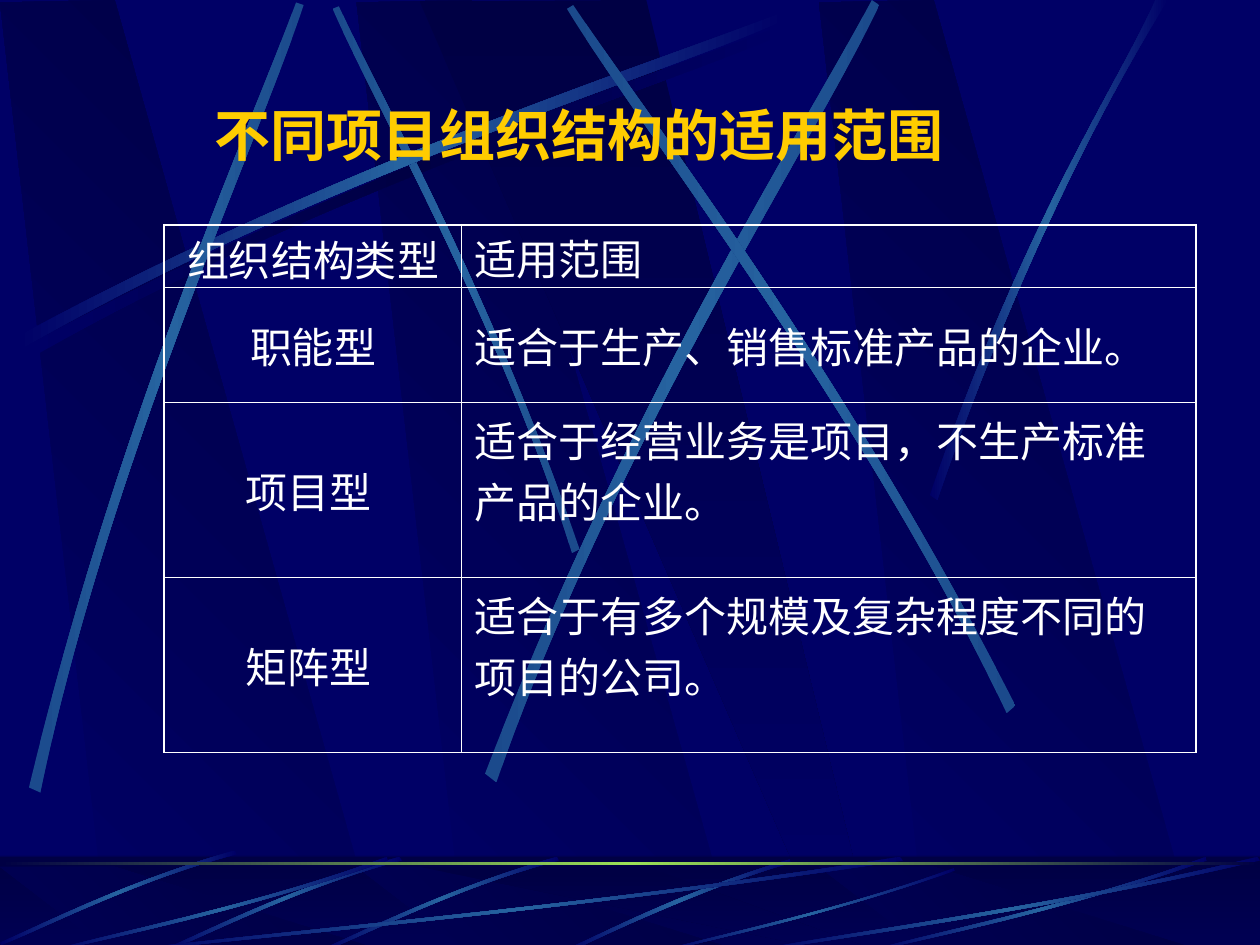
import pptx
import pptx.dml.color
import pptx.enum.shapes
import pptx.enum.text
import pptx.oxml.ns
import pptx.util
from lxml import etree

Cm, Pt = pptx.util.Cm, pptx.util.Pt
ALIGN, ANCHOR = pptx.enum.text.PP_ALIGN, pptx.enum.text.MSO_ANCHOR
RECT = pptx.enum.shapes.MSO_SHAPE.RECTANGLE
qn = pptx.oxml.ns.qn

# Content
TITLE = "不同项目组织结构的适用范围"
ROWS = [
    ("组织结构类型", "适用范围"),
    ("职能型", "适合于生产、销售标准产品的企业。"),
    ("项目型 ", "适合于经营业务是项目，不生产标准产品的企业。"),
    ("矩阵型 ", "适合于有多个规模及复杂程度不同的项目的公司。"),
]
TOP_ANCHORED = {(0, 1), (2, 1), (3, 1)}
COL_WIDTHS = [6.0, 14.8]
ROW_HEIGHTS = [1.27, 2.31, 3.53, 3.53]

# Colours
NAVY, DARK, BLUE, SOFT = "000066", "000044", "2663A0", "1B4A8C"
GREEN, GOLD, WHITE = "9CE157", "FFCC00", "FFFFFF"
FADED, SHADE, STEADY = (NAVY, BLUE, NAVY), (NAVY, DARK, NAVY), (SOFT, BLUE, SOFT)

# Backdrop outlines, on a grid of 2.54 cm
BAND_OFFSETS = [2.83, 0, 6.5]
UPPER_BAND = [(0.86, 7.5), (3.02, 7.52), (0.91, 0), (0, 0.02)]
UPPER_WEDGE = [(3.33, 0.01), (6.58, 7.51), (6.94, 7.51), (5.13, 0)]
LOWER_BAND = [(0.86, 7.54), (3.02, 7.54), (0.91, 6.88), (0, 6.88)]
LOWER_WEDGE = [(3.33, 6.88), (6.58, 7.54), (6.94, 7.54), (5.13, 6.88)]

# A streak is two Bezier edges of four points each
LONG = [(0.14, 2.67), (2.78, 1.25), (5.18, 0.51), (6.2, 0.1),
        (6.23, 0.16), (5.22, 0.61), (2.48, 1.43), (0.17, 2.77)]
SHORT = [(1.86, 6.8), (0.99, 7.05), (0.31, 7.4), (0, 7.53),
         (0.01, 7.55), (0.32, 7.43), (1.09, 7.03), (1.88, 6.83)]
LOW = [(2.66, 6.83), (1.51, 7.23), (0.46, 7.44), (0.01, 7.55),
       (0, 7.54), (0.44, 7.41), (1.64, 7.18), (2.65, 6.8)]
# (points, shift right, shift down, gradient)
UPPER_STREAKS = [
    (LONG, 0.06, 0.08, SHADE),
    ([(4.6, 4.36), (3.91, 2.34), (3.02, 0.77), (2.69, 0.05),
      (2.64, 0.07), (2.95, 0.79), (3.98, 2.58), (4.54, 4.39)], 0, 0, STEADY),
    (LONG, 0, 0, FADED),
    ([(0.23, 6.25), (0.93, 3.34), (1.97, 1.05), (2.35, 0.02),
      (2.41, 0.04), (2.07, 1.08), (0.86, 3.68), (0.32, 6.29)], 0, 0, STEADY),
    ([(3.85, 6.14), (4.98, 3.2), (6.38, 1.02), (6.92, 0),
      (6.98, 0.04), (6.49, 1.08), (4.86, 3.55), (3.94, 6.21)], 0, 0, STEADY),
    ([(8.06, 5.6), (6.7, 2.93), (5.16, 0.95), (4.55, 0.04),
      (4.5, 0.07), (5.07, 1.01), (6.85, 3.25), (7.99, 5.66)], 0, 0, STEADY),
    ([(7.38, 3.93), (8.14, 1.73), (8.88, 0.66), (9.17, 0),
      (9.27, 0), (8.36, 1.45), (7.69, 3.22), (7.44, 3.97)], 0, 0, FADED),
]
LOWER_STREAKS = [
    ([(6.27, 6.82), (5.37, 7.09), (4.77, 7.42), (4.48, 7.54),
      (4.53, 7.55), (4.9, 7.37), (5.71, 7), (6.28, 6.85)], 0, 0, FADED),
    (SHORT, 2.56, 0, FADED),
    (SHORT, 1.31, 0, FADED),
    (SHORT, 0, -0.05, FADED),
    ([(7.17, 6.83), (4.49, 7.23), (2.06, 7.44), (1.03, 7.55),
      (1, 7.54), (2.02, 7.41), (4.8, 7.18), (7.14, 6.8)], 0, 0, FADED),
    (LOW, 0.42, 0, FADED),
    ([(7.58, 6.91), (6.58, 7.26), (5.67, 7.45), (5.28, 7.55),
      (5.27, 7.54), (5.65, 7.43), (6.69, 7.22), (7.57, 6.89)], 0, 0, FADED),
    (LOW, 6.92, 0, FADED),
    ([(10, 6.83), (8.27, 7.23), (6.69, 7.44), (6.02, 7.55),
      (6, 7.54), (6.66, 7.41), (8.46, 7.18), (9.98, 6.8)], 0, 0, FADED),
]


def rgb(value):
    return pptx.dml.color.RGBColor.from_string(value)


def put_text(frame, text, font, size, color, bold=False, align=ALIGN.LEFT,
             before=6, spacing=None):
    frame.word_wrap = True
    paragraph = frame.paragraphs[0]
    paragraph.alignment = align
    paragraph.space_before = Pt(before)
    paragraph.line_spacing = spacing
    run = paragraph.add_run()
    run.text = text
    run.font.name, run.font.size, run.font.bold = font, Pt(size), bold
    run.font.color.rgb = rgb(color)


def paint(shape, colors, angle=0):
    """Fill with evenly spaced gradient stops; angle is clockwise."""
    shape.shadow.inherit = False
    shape.line.fill.background()
    shape.fill.gradient()
    shape.fill.gradient_angle = (360 - angle) % 360
    stops = next(shape.fill._xPr.iter(qn("a:gsLst")))
    for stop in list(stops):
        stops.remove(stop)
    for i, color in enumerate(colors):
        stop = etree.SubElement(stops, qn("a:gs"), pos=str(100000 * i // (len(colors) - 1)))
        etree.SubElement(stop, qn("a:srgbClr"), val=color)


def outline(slide, points, colors, angle=0, dx=0, dy=0):
    grid = [(1000 * (x + dx), 1000 * (y + dy)) for x, y in points]
    builder = slide.shapes.build_freeform(*grid[0], scale=Cm(2.54) / 1000)
    builder.add_line_segments(grid[1:], close=True)
    shape = builder.convert_to_shape()
    paint(shape, colors, angle)
    return shape


def bend(streak):
    """Turn each edge's three line segments into one Bezier curve."""
    segments = list(streak._element.iter(qn("a:lnTo")))
    for edge in (segments[:3], segments[4:7]):
        curve = etree.Element(qn("a:cubicBezTo"))
        edge[0].addprevious(curve)
        for segment in edge:
            curve.append(segment[0])
            segment.getparent().remove(segment)


def strip(slide, top, height):
    bar = slide.shapes.add_shape(RECT, 0, Cm(top), Cm(25.4), Cm(height))
    bar.shadow.inherit = False
    bar.line.fill.background()
    return bar


def draw_bands(slide, band, wedge):
    for dx in BAND_OFFSETS:
        outline(slide, band, (NAVY, DARK), 315, dx)
    outline(slide, wedge, (DARK, NAVY), 90)


def draw_streaks(slide, streaks):
    for points, dx, dy, colors in streaks:
        bend(outline(slide, points, colors, 0, dx, dy))


def draw_veil(slide):
    veil = strip(slide, 17.25, 1.9)
    veil.fill.solid()
    veil.fill.fore_color.rgb = rgb(DARK)
    color = next(veil.fill._xPr.iter(qn("a:srgbClr")))
    etree.SubElement(color, qn("a:alpha"), val="50000")


def border(cell, side, width):
    line = etree.SubElement(cell._tc.get_or_add_tcPr(), qn("a:" + side), w=str(Pt(width)))
    fill = etree.SubElement(line, qn("a:solidFill"))
    etree.SubElement(fill, qn("a:srgbClr"), val=WHITE)


def add_scope_table(slide):
    table = slide.shapes.add_table(len(ROWS), 2, Cm(3.31), Cm(4.53),
                                   Cm(sum(COL_WIDTHS)), Cm(sum(ROW_HEIGHTS))).table
    table.first_row = table.horz_banding = False
    for column, width in zip(table.columns, COL_WIDTHS):
        column.width = Cm(width)
    last = len(ROWS) - 1
    for r, texts in enumerate(ROWS):
        table.rows[r].height = Cm(ROW_HEIGHTS[r])
        for c, text in enumerate(texts):
            cell = table.cell(r, c)
            cell.vertical_anchor = ANCHOR.TOP if (r, c) in TOP_ANCHORED else ANCHOR.MIDDLE
            if r == 0:
                cell.margin_bottom = 0
            put_text(cell.text_frame, text, "Arial", 24, WHITE,
                     align=ALIGN.LEFT if c else ALIGN.CENTER,
                     spacing=None if r else 0.92)
            outer = {"lnL": c == 0, "lnR": c == 1, "lnT": r == 0, "lnB": r == last}
            for side, is_outer in outer.items():
                border(cell, side, 1.08 if is_outer else 0.45)
            cell.fill.background()


def main():
    deck = pptx.Presentation()
    deck.slide_width, deck.slide_height = Cm(25.4), Cm(19.05)
    slide = deck.slides.add_slide(deck.slide_layouts[5])
    title = slide.shapes.title
    master = deck.slide_master
    master.background.fill.solid()
    master.background.fill.fore_color.rgb = rgb(NAVY)

    # Backdrop, drawn and then moved to the master
    draw_bands(slide, UPPER_BAND, UPPER_WEDGE)
    draw_streaks(slide, UPPER_STREAKS)
    paint(strip(slide, 17.27, 1.9), (DARK, NAVY), 90)
    draw_bands(slide, LOWER_BAND, LOWER_WEDGE)
    draw_veil(slide)
    draw_streaks(slide, LOWER_STREAKS)
    paint(strip(slide, 17.37, 0.06), (DARK, GREEN, DARK))
    for part in list(slide.shapes)[1:]:
        master.shapes._spTree.append(part._element)

    # Title
    title.left, title.top, title.width, title.height = Cm(3.3), Cm(1.83), Cm(16.76), Cm(1.68)
    title.text_frame.vertical_anchor = ANCHOR.MIDDLE
    put_text(title.text_frame, TITLE, "Times New Roman", 32, GOLD, bold=True,
             align=ALIGN.CENTER, before=20, spacing=1.04)

    # Table
    add_scope_table(slide)
    deck.save("out.pptx")


if __name__ == "__main__":
    main()
